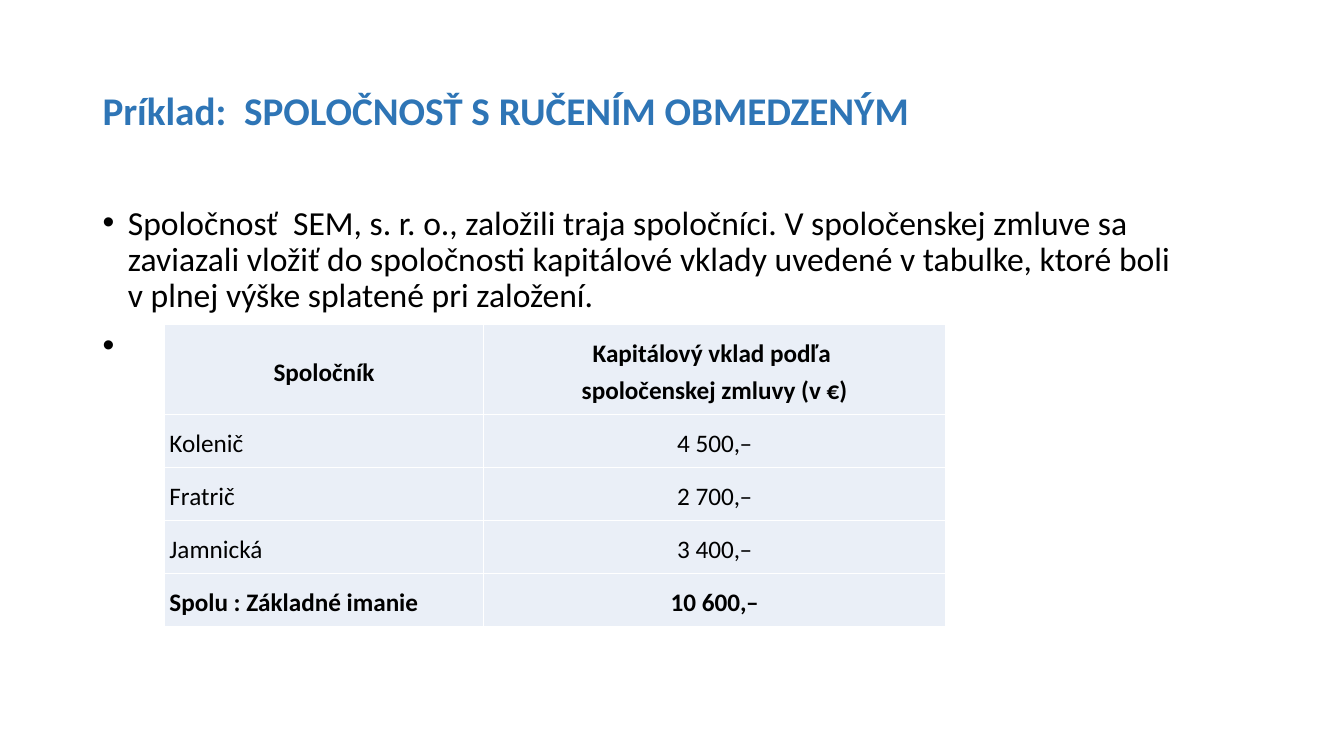
import pptx
import pptx.util
import pptx.dml.color
import pptx.enum.text
import pptx.oxml
import pptx.oxml.ns
from dataclasses import dataclass

Cm, Pt = pptx.util.Cm, pptx.util.Pt
RGB = pptx.dml.color.RGBColor.from_string
Align = pptx.enum.text.PP_ALIGN
Anchor = pptx.enum.text.MSO_ANCHOR
Fit = pptx.enum.text.MSO_AUTO_SIZE


@dataclass(frozen=True)
class Theme:
    font: str = "Calibri"
    blue: str = "2E75B6"
    ink: str = "000000"
    pale: str = "EAEFF7"
    rule: str = "FFFFFF"
    head: int = 28
    body: int = 24
    cell: int = 18


theme = Theme()

TITLE = "Príklad:  SPOLOČNOSŤ S\u00a0RUČENÍM OBMEDZENÝM"
POINTS = [
    "Spoločnosť  SEM, s. r. o., založili traja spoločníci. "
    "V\u00a0spoločenskej zmluve sa zaviazali vložiť do spoločnosti "
    "kapitálové vklady uvedené v\u00a0tabulke, ktoré boli "
    "v\u00a0plnej výške splatené pri založení.",
    "\u00a0",
]
SHARES = [
    ("Spoločník", "Kapitálový vklad podľa \nspoločenskej zmluvy (v\u00a0€)"),
    ("Kolenič", "4 500,–"),
    ("Fratrič", "2\u00a0700,–"),
    ("Jamnická", "3\u00a0400,–"),
    ("Spolu : Základné imanie", "10\u00a0600,–"),
]


def style(para, size, color, bold=False, align=Align.LEFT, space=0.9):
    font = para.font
    font.name, font.size, font.bold = theme.font, Pt(size), bold
    font.color.rgb = RGB(color)
    para.alignment, para.line_spacing = align, space


def place(shape, box):
    shape.left, shape.top, shape.width, shape.height = map(Cm, box)


def border(cell):
    # Borders come before the fill in the cell properties
    props = cell._tc.get_or_add_tcPr()
    for spot, side in enumerate("LRTB"):
        props.insert(spot, pptx.oxml.parse_xml(
            f'<a:ln{side} {pptx.oxml.ns.nsdecls("a")} w="{Pt(1)}"><a:solidFill>'
            f'<a:srgbClr val="{theme.rule}"/></a:solidFill></a:ln{side}>'))


def add_title(slide, box):
    shape = slide.shapes.title
    place(shape, box)
    frame = shape.text_frame
    frame.text = TITLE
    frame.auto_size, frame.vertical_anchor = Fit.NONE, Anchor.MIDDLE
    style(frame.paragraphs[0], theme.head, theme.blue, True)


def add_list(slide, box):
    shape = slide.placeholders[1]
    place(shape, box)
    frame = shape.text_frame
    frame.text = "\n".join(POINTS)
    frame.auto_size = Fit.NONE
    for para in frame.paragraphs:
        style(para, theme.body, theme.ink)
        para.space_before = Pt(10)
        props = para._p.get_or_add_pPr()
        props.set("marL", str(Cm(0.64)))
        props.set("indent", str(-Cm(0.64)))


def add_shares(slide, box):
    wide, high = box[2:]
    top = 0.3 * high
    last = len(SHARES) - 1
    table = slide.shapes.add_table(len(SHARES), 2, *map(Cm, box)).table
    table.horz_banding = False
    table.columns[0].width = Cm(0.408 * wide)
    table.columns[1].width = Cm(0.592 * wide)
    for row, texts in enumerate(SHARES):
        table.rows[row].height = Cm(top if row == 0 else (high - top) / last)
        for col, text in enumerate(texts):
            cell = table.cell(row, col)
            cell.text = text
            cell.fill.solid()
            cell.fill.fore_color.rgb = RGB(theme.pale)
            border(cell)
            cell.margin_left = cell.margin_right = Cm(0.12)
            cell.margin_top = cell.margin_bottom = Cm(0.2)
            mid = row == last or (row, col) == (0, 0)
            cell.vertical_anchor = Anchor.MIDDLE if mid else Anchor.TOP
            align = Align.CENTER if row == 0 or col == 1 else Align.LEFT
            for para in cell.text_frame.paragraphs:
                style(para, theme.cell, theme.ink, row in (0, last), align, 1.2)


# Slide
deck = pptx.Presentation()
deck.slide_width, deck.slide_height = Cm(33.87), Cm(19.05)
slide = deck.slides.add_slide(deck.slide_layouts[1])

# Regions
add_title(slide, (2.33, 1.01, 29.21, 3.68))
add_list(slide, (2.33, 5.07, 29.21, 12.09))
add_shares(slide, (4.15, 8.18, 19.69, 7.58))

deck.save("out.pptx")
